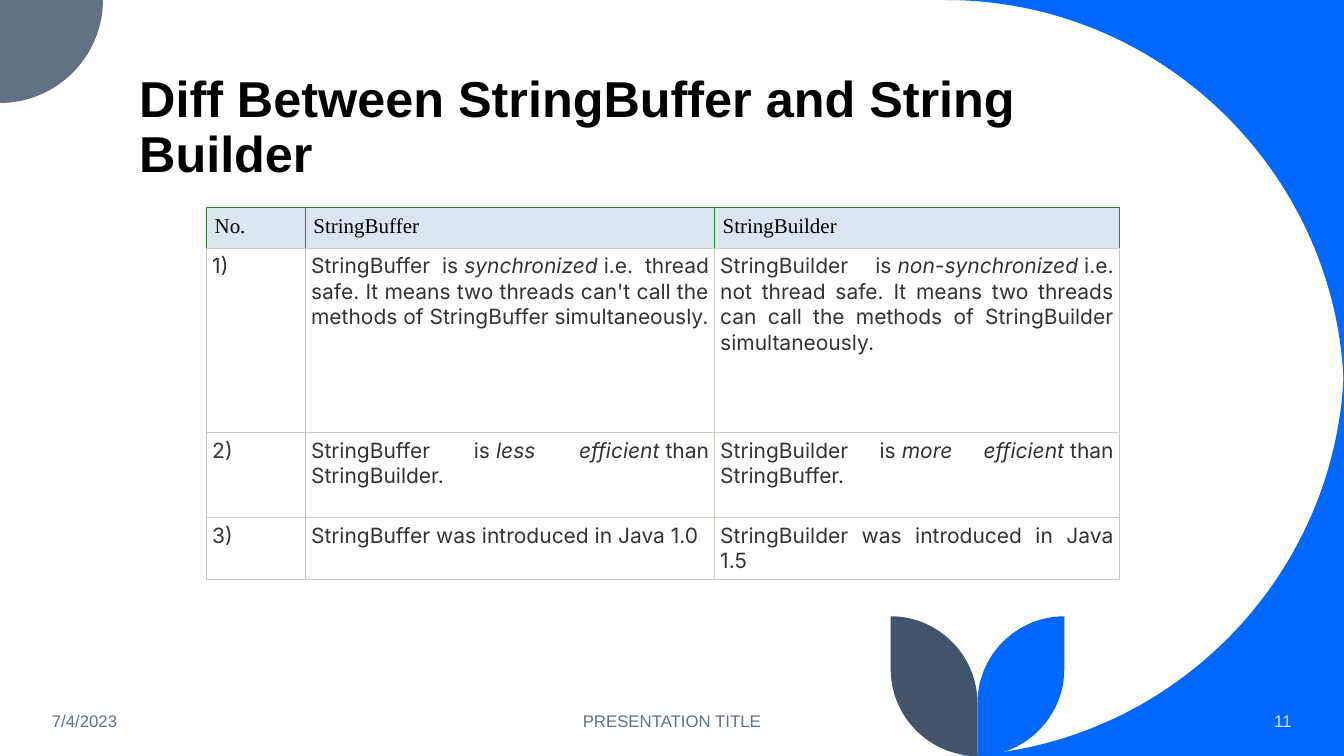
from dataclasses import dataclass

from lxml import etree
from pptx import Presentation
from pptx.dml.color import RGBColor
from pptx.enum.text import MSO_ANCHOR, MSO_AUTO_SIZE, PP_ALIGN
from pptx.oxml.ns import qn
from pptx.util import Pt

LEFT, CENTER, RIGHT, JUSTIFY = PP_ALIGN.LEFT, PP_ALIGN.CENTER, PP_ALIGN.RIGHT, PP_ALIGN.JUSTIFY
MIDDLE, BOTTOM = MSO_ANCHOR.MIDDLE, MSO_ANCHOR.BOTTOM
NO_AUTOFIT = MSO_AUTO_SIZE.NONE

BLUE = RGBColor(0x00, 0x68, 0xFF)
SLATE = RGBColor(0x63, 0x71, 0x83)
NAVY = RGBColor(0x44, 0x54, 0x6A)
PALE_BLUE = RGBColor(0xDA, 0xE5, 0xEF)
BLACK = RGBColor(0x00, 0x00, 0x00)
CHARCOAL = RGBColor(0x33, 0x33, 0x33)
GREEN = RGBColor(0x30, 0x81, 0x35)
SAGE = RGBColor(0xC7, 0xCC, 0xBE)

WIDTH, HEIGHT = 960, 540
SWEEP_RADIUS = 284.4
SWEEP_X = WIDTH - SWEEP_RADIUS
CORNER_RADIUS = 73.6
STEM_X, PETAL_TOP, PETAL_RADIUS = 698.2, 440.2, 62
FOOTER_TOP, FOOTER_HEIGHT = 500.4, 28.8
ARC_PULL = 0.55

Point = tuple[float, float]


@dataclass(frozen=True)
class Outline:
    start: Point
    segments: list[list[Point]]
    color: RGBColor


@dataclass(frozen=True)
class Footer:
    text: str
    left: float
    width: float
    align: PP_ALIGN
    color: RGBColor


@dataclass(frozen=True)
class CellStyle:
    font: str
    color: RGBColor
    align: PP_ALIGN
    inset: float
    edge: RGBColor


HEADER = CellStyle("Times New Roman", BLACK, LEFT, 5.7, GREEN)
BODY = CellStyle("Inter", CHARCOAL, JUSTIFY, 4, SAGE)


def quarter_arc(start: Point, corner: Point, end: Point) -> list[Point]:
    controls = [(x + ARC_PULL * (corner[0] - x), y + ARC_PULL * (corner[1] - y))
                for x, y in (start, end)]
    return [*controls, end]


def petal(side: int, color: RGBColor) -> Outline:
    outer = STEM_X + side * PETAL_RADIUS
    tip, foot = (outer, PETAL_TOP), (STEM_X, HEIGHT)
    outer_bend = (outer, HEIGHT - PETAL_RADIUS)
    inner_bend = (STEM_X, PETAL_TOP + PETAL_RADIUS)
    return Outline(tip, [[outer_bend], quarter_arc(outer_bend, (outer, HEIGHT), foot),
                         [inner_bend], quarter_arc(inner_bend, (STEM_X, PETAL_TOP), tip)], color)


def draw_outline(shapes, outline: Outline) -> None:
    builder = shapes.build_freeform(Pt(outline.start[0]), Pt(outline.start[1]))
    builder.add_line_segments([(Pt(x), Pt(y)) for segment in outline.segments
                               for x, y in segment], close=True)
    shape = builder.convert_to_shape()
    steps = iter(list(shape._element.iter(qn("a:lnTo"))))
    for segment in outline.segments:
        lines = [next(steps) for _ in segment]
        if len(lines) == 3:
            curve = etree.Element(qn("a:cubicBezTo"))
            lines[0].addprevious(curve)
            for line in lines:
                curve.append(line[0])
                line.getparent().remove(line)
    shape.shadow.inherit = False
    shape.fill.solid()
    shape.fill.fore_color.rgb = outline.color
    shape.line.fill.background()


def style_font(font, name: str, size: float, color: RGBColor) -> None:
    font.name, font.size = name, Pt(size)
    font.color.rgb = color


def draw_footer(shapes, footer: Footer) -> None:
    box = shapes.add_textbox(Pt(footer.left), Pt(FOOTER_TOP), Pt(footer.width), Pt(FOOTER_HEIGHT))
    frame = box.text_frame
    frame.text = footer.text
    frame.word_wrap = True
    frame.vertical_anchor = MIDDLE
    paragraph = frame.paragraphs[0]
    paragraph.alignment = footer.align
    style_font(paragraph.runs[0].font, "Arial", 12, footer.color)


def add_borders(cell, edge: RGBColor) -> None:
    properties = cell._tc.get_or_add_tcPr()
    for side, color in (("L", edge), ("R", edge), ("T", edge), ("B", SAGE)):
        line = etree.SubElement(properties, qn(f"a:ln{side}"), w=str(Pt(0.6)))
        fill = etree.SubElement(line, qn("a:solidFill"))
        etree.SubElement(fill, qn("a:srgbClr"), val=str(color))


def fill_cell(cell, text: str, style: CellStyle) -> None:
    cell.margin_left = cell.margin_right = Pt(style.inset)
    cell.margin_top = cell.margin_bottom = Pt(style.inset)
    add_borders(cell, style.edge)
    if style is HEADER:
        cell.fill.solid()
        cell.fill.fore_color.rgb = PALE_BLUE
    else:
        cell.fill.background()
    paragraph = cell.text_frame.paragraphs[0]
    paragraph.alignment = style.align
    for index, part in enumerate(text.split("*")):
        run = paragraph.add_run()
        run.text = part
        style_font(run.font, style.font, 15, style.color)
        run.font.italic = index % 2 == 1


SWEEP_TOP, SWEEP_BOTTOM = (SWEEP_X, 0), (SWEEP_X, HEIGHT)
UPPER_END, LOWER_END = (WIDTH, SWEEP_RADIUS), (WIDTH, HEIGHT - SWEEP_RADIUS)
TOP_RIGHT, BOTTOM_RIGHT = (WIDTH, 0), (WIDTH, HEIGHT)
CORNER_RIGHT, CORNER_BOTTOM = (CORNER_RADIUS, 0), (0, CORNER_RADIUS)
OUTLINES = [
    Outline(TOP_RIGHT, [[SWEEP_TOP], quarter_arc(SWEEP_TOP, TOP_RIGHT, UPPER_END)], BLUE),
    Outline(LOWER_END, [quarter_arc(LOWER_END, BOTTOM_RIGHT, SWEEP_BOTTOM), [BOTTOM_RIGHT]], BLUE),
    Outline((0, 0), [[CORNER_RIGHT], quarter_arc(CORNER_RIGHT, (CORNER_RADIUS, CORNER_RADIUS),
                                                 CORNER_BOTTOM)], SLATE),
    petal(1, BLUE),
    petal(-1, NAVY),
]
FOOTERS = [
    Footer("7/4/2023", 30, 216, LEFT, SLATE),
    Footer("PRESENTATION TITLE", 318, 324, CENTER, SLATE),
    Footer("11", 799.2, 130.5, RIGHT, PALE_BLUE),
]
COLUMN_WIDTHS = [70.6, 292.3, 289]
ROW_HEIGHTS = [29.3, 131.8, 60.8, 43.8]
COMPARISON = [
    ("No.", "StringBuffer", "StringBuilder"),
    ("1)",
     "StringBuffer is\u00a0*synchronized*\u00a0i.e. thread safe. It means two threads "
     "can't call the methods of StringBuffer simultaneously.",
     "StringBuilder is\u00a0*non-synchronized*\u00a0i.e. not thread safe. It means two threads "
     "can call the methods of StringBuilder simultaneously."),
    ("2)",
     "StringBuffer is\u00a0*less efficient*\u00a0than StringBuilder.",
     "StringBuilder is\u00a0*more efficient*\u00a0than StringBuffer."),
    ("3)", "StringBuffer was introduced in Java 1.0", "StringBuilder was introduced in Java 1.5"),
]

presentation = Presentation()
presentation.slide_width, presentation.slide_height = Pt(WIDTH), Pt(HEIGHT)
slide = presentation.slides.add_slide(presentation.slide_layouts[5])

for outline in OUTLINES:
    draw_outline(slide.shapes, outline)

title = slide.shapes.title
title.left, title.top, title.width, title.height = Pt(92.2), Pt(30.2), Pt(769.7), Pt(104.4)
title.text_frame.text = "Diff Between StringBuffer and String Builder"
title.text_frame.word_wrap = True
title.text_frame.auto_size = NO_AUTOFIT
title.text_frame.vertical_anchor = BOTTOM
heading = title.text_frame.paragraphs[0]
heading.alignment = LEFT
heading.line_spacing = 0.9
style_font(heading.runs[0].font, "Arial", 36, BLACK)
heading.runs[0].font.bold = True

table = slide.shapes.add_table(len(ROW_HEIGHTS), len(COLUMN_WIDTHS), Pt(147.6), Pt(147.9),
                               Pt(sum(COLUMN_WIDTHS)), Pt(sum(ROW_HEIGHTS))).table
table.first_row = table.horz_banding = False
for column, width in zip(table.columns, COLUMN_WIDTHS):
    column.width = Pt(width)
for row, height in zip(table.rows, ROW_HEIGHTS):
    row.height = Pt(height)
for row_index, texts in enumerate(COMPARISON):
    for column_index, text in enumerate(texts):
        fill_cell(table.cell(row_index, column_index), text, BODY if row_index else HEADER)

for footer in FOOTERS:
    draw_footer(slide.shapes, footer)

presentation.save("out.pptx")
